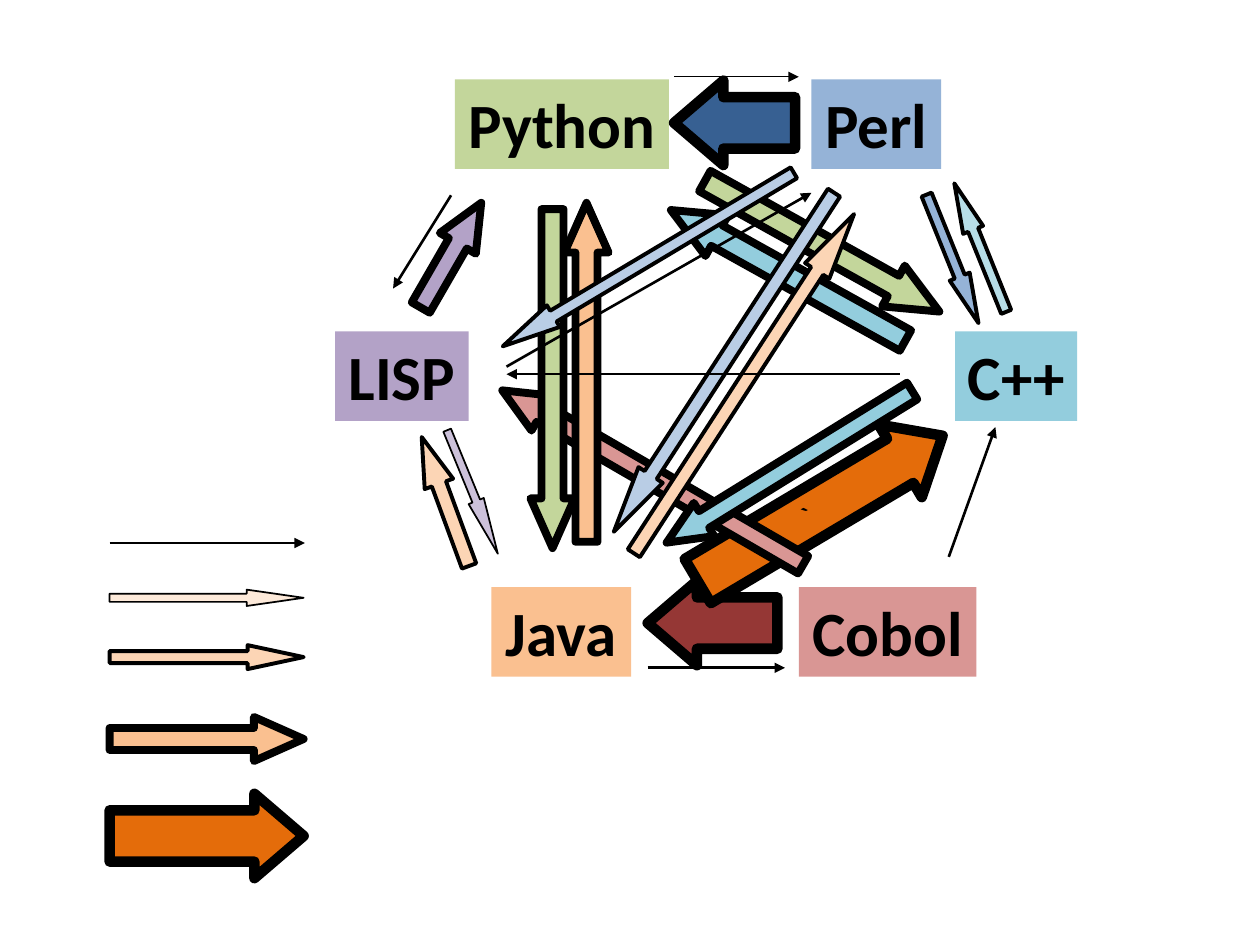
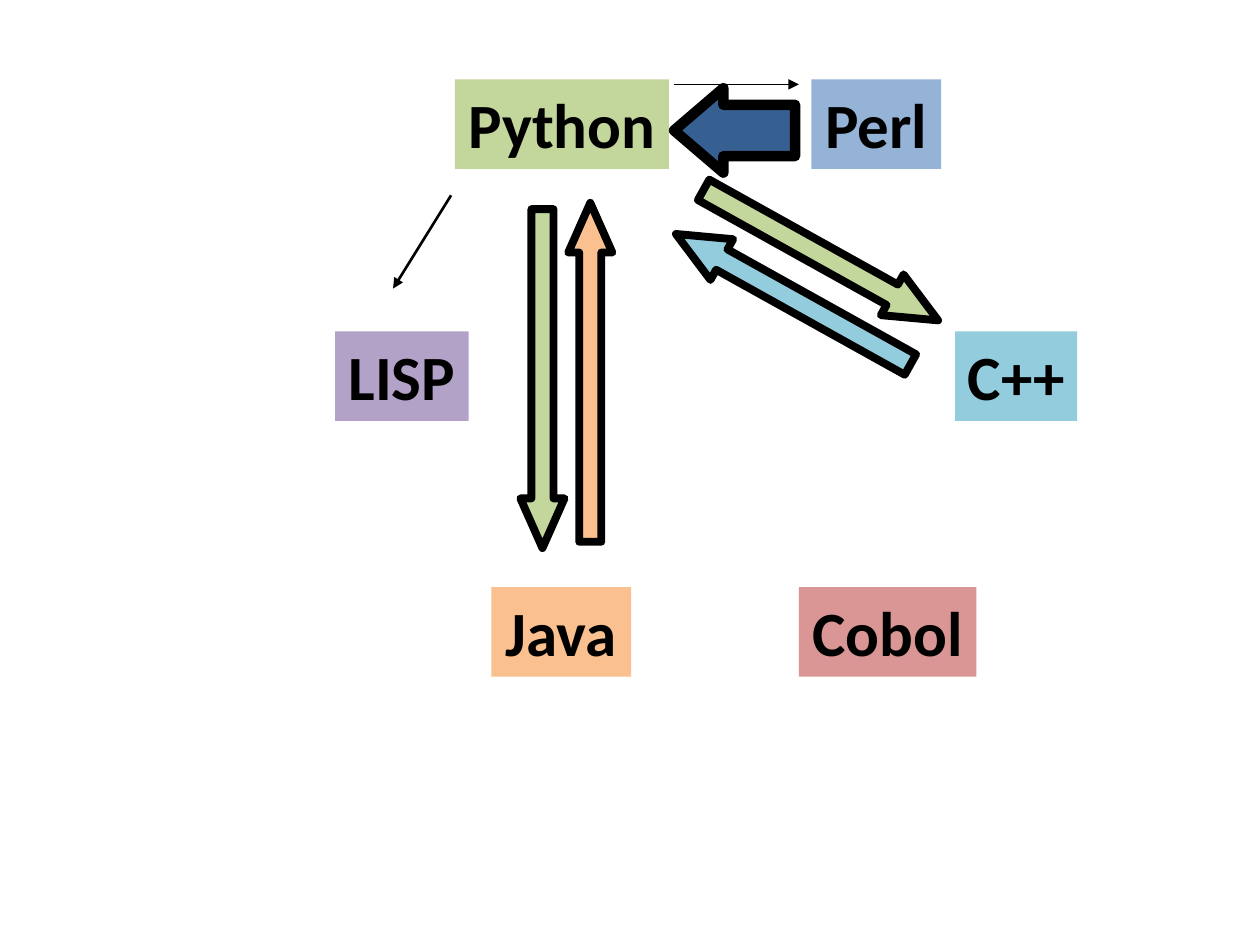
from lxml.etree import SubElement
from pptx import Presentation
from pptx.dml.color import RGBColor
from pptx.enum.shapes import MSO_CONNECTOR, MSO_SHAPE
from pptx.enum.text import MSO_AUTO_SIZE, PP_ALIGN
from pptx.oxml.ns import qn
from pptx.util import Inches, Pt

FONT = "Calibri"
BLACK = "000000"
GREEN, ORANGE, PURPLE = "C3D69B", "FAC090", "B3A2C7"
AQUA, RED, BLUE = "93CDDD", "D99694", "95B3D7"
DEEP_ORANGE, DEEP_RED, DEEP_BLUE = "E46C0A", "953735", "376092"
PALE_ORANGE, PALE_BLUE, PALE_AQUA = "FCD5B5", "B9CDE5", "B7DEE8"
PALE_PURPLE, FAINT_ORANGE = "CCC1DA", "FDEADA"

# weight: outline in points, shaft ratio, head ratio
SLIGHT = (1, 0.5, 3.48)
MODEST = (2.25, 0.5, 2.339)
MODEST_BLUNT = (2.25, 0.5, 1.649)
STRONG = (4.5, 0.5, 1.126)
MASSIVE = (6, 0.608, 0.583)

LANGUAGES = [
    ("Python", 3.61, 0.63, 1.7, GREEN),
    ("Java", 3.9, 4.66, 1.11, ORANGE),
    ("LISP", 2.66, 2.63, 1.06, PURPLE),
    ("C++", 7.58, 2.63, 0.97, AQUA),
    ("Cobol", 6.34, 4.66, 1.41, RED),
    ("Perl", 6.44, 0.63, 1.03, BLUE),
]

LEGEND = [
    (4.68, 0.13, SLIGHT, FAINT_ORANGE),
    (5.12, 0.19, MODEST, PALE_ORANGE),
    (5.69, 0.35, STRONG, ORANGE),
    (6.3, 0.67, MASSIVE, DEEP_ORANGE),
]


def rgb(color):
    return RGBColor.from_string(color)


def fill(sp, color):
    sp.fill.solid()
    sp.fill.fore_color.rgb = rgb(color)


def write(sp, text, size, bold=False):
    p = sp.text_frame.paragraphs[0]
    p.text = text
    p.alignment = PP_ALIGN.CENTER
    font = p.runs[0].font
    font.name, font.size, font.bold = FONT, Pt(size), bold
    font.color.rgb = rgb(BLACK)


def add_language(s, name, left, top, width, color):
    sp = s.shapes.add_textbox(Inches(left), Inches(top), Inches(width), Inches(0.71))
    fill(sp, color)
    tf = sp.text_frame
    tf.word_wrap = False
    tf.auto_size = MSO_AUTO_SIZE.SHAPE_TO_FIT_TEXT
    write(sp, name, 36, bold=True)


def add_block_arrow(s, left, top, width, height, angle, weight, color):
    outline, shaft, head = weight
    sp = s.shapes.add_shape(MSO_SHAPE.RIGHT_ARROW, Inches(left), Inches(top),
                            Inches(width), Inches(height))
    sp.adjustments[0], sp.adjustments[1] = shaft, head
    sp.rotation = angle
    sp.shadow.inherit = False
    fill(sp, color)
    sp.line.color.rgb = rgb(BLACK)
    sp.line.width = Pt(outline)
    return sp


def add_thin_arrow(s, x1, y1, x2, y2, width=1.5):
    line = s.shapes.add_connector(MSO_CONNECTOR.STRAIGHT, Inches(x1), Inches(y1),
                                  Inches(x2), Inches(y2))
    line.line.color.rgb = rgb(BLACK)
    line.line.width = Pt(width)
    SubElement(line.line._get_or_add_ln(), qn("a:tailEnd"), type="triangle")
    SubElement(line._element.spPr, qn("a:effectLst"))


def add_languages(s):
    for language in LANGUAGES:
        add_language(s, *language)


def add_legend(s):
    add_thin_arrow(s, 0.87, 4.31, 2.42, 4.31, 0.75)
    for top, height, weight, color in LEGEND:
        add_block_arrow(s, 0.87, top, 1.54, height, 0, weight, color)


def add_python_links(s, perl_top, to_cpp, from_cpp, from_java_left, to_java_left):
    add_block_arrow(s, 5.35, perl_top, 0.96, 0.67, 180, MASSIVE, DEEP_BLUE)
    add_thin_arrow(s, 5.35, perl_top - 0.03, 6.34, perl_top - 0.03, 0.75)
    add_block_arrow(s, *to_cpp, 2.13, 0.37, 29.1, STRONG, GREEN)
    add_block_arrow(s, from_java_left, 2.78, 2.69, 0.35, 270, STRONG, ORANGE)
    add_block_arrow(s, *from_cpp, 2.13, 0.37, 209.1, STRONG, AQUA)
    add_block_arrow(s, to_java_left, 2.83, 2.69, 0.35, 90, STRONG, GREEN)
    add_thin_arrow(s, 3.58, 1.55, 3.12, 2.29)


def add_cobol_links(s):
    add_block_arrow(s, 5.14, 4.61, 1.03, 0.67, 180, MASSIVE, DEEP_RED)
    cobol_cpp = add_block_arrow(s, 5.38, 3.7, 2.26, 0.67, 329.3, MASSIVE, DEEP_ORANGE)
    write(cobol_cpp, "`", 18)
    add_block_arrow(s, 3.8, 3.63, 2.76, 0.32, 210.1, STRONG, RED)


def add_other_links(s):
    for arrow in [
        (5.12, 3.55, 2.29, 0.31, 148.3, STRONG, AQUA),
        (3.1, 1.86, 0.96, 0.33, 300, STRONG, PURPLE),
        (7.01, 1.97, 1.1, 0.17, 68, MODEST, BLUE),
        (4.14, 2.76, 3.21, 0.23, 123, MODEST, PALE_BLUE),
        (2.99, 3.86, 1.09, 0.24, 249.8, MODEST_BLUNT, PALE_ORANGE),
        (3.8, 1.96, 2.69, 0.2, 149.2, MODEST, PALE_BLUE),
        (7.23, 1.88, 1.1, 0.17, 248, MODEST, PALE_AQUA),
        (4.3, 2.93, 3.21, 0.23, 303, MODEST, PALE_ORANGE),
        (3.22, 3.84, 1.06, 0.13, 67.7, SLIGHT, PALE_PURPLE),
    ]:
        add_block_arrow(s, *arrow)
    for ends in [
        (5.14, 5.3, 6.23, 5.3),
        (7.53, 4.42, 7.9, 3.39),
        (7.14, 2.97, 4.02, 2.97),
        (4.02, 2.91, 6.44, 1.53),
    ]:
        add_thin_arrow(s, *ends)


def main():
    prs = Presentation()
    prs.slide_width, prs.slide_height = Inches(10), Inches(7.5)
    blank = prs.slide_layouts[6]

    s = prs.slides.add_slide(blank)
    add_languages(s)
    add_legend(s)
    add_cobol_links(s)
    add_python_links(s, 0.64, (5.46, 1.77), (5.19, 2), 3.31, 3.04)
    add_other_links(s)

    s = prs.slides.add_slide(blank)
    add_languages(s)
    add_python_links(s, 0.7, (5.45, 1.84), (5.23, 2.19), 3.34, 2.96)

    prs.save("out.pptx")


if __name__ == "__main__":
    main()
